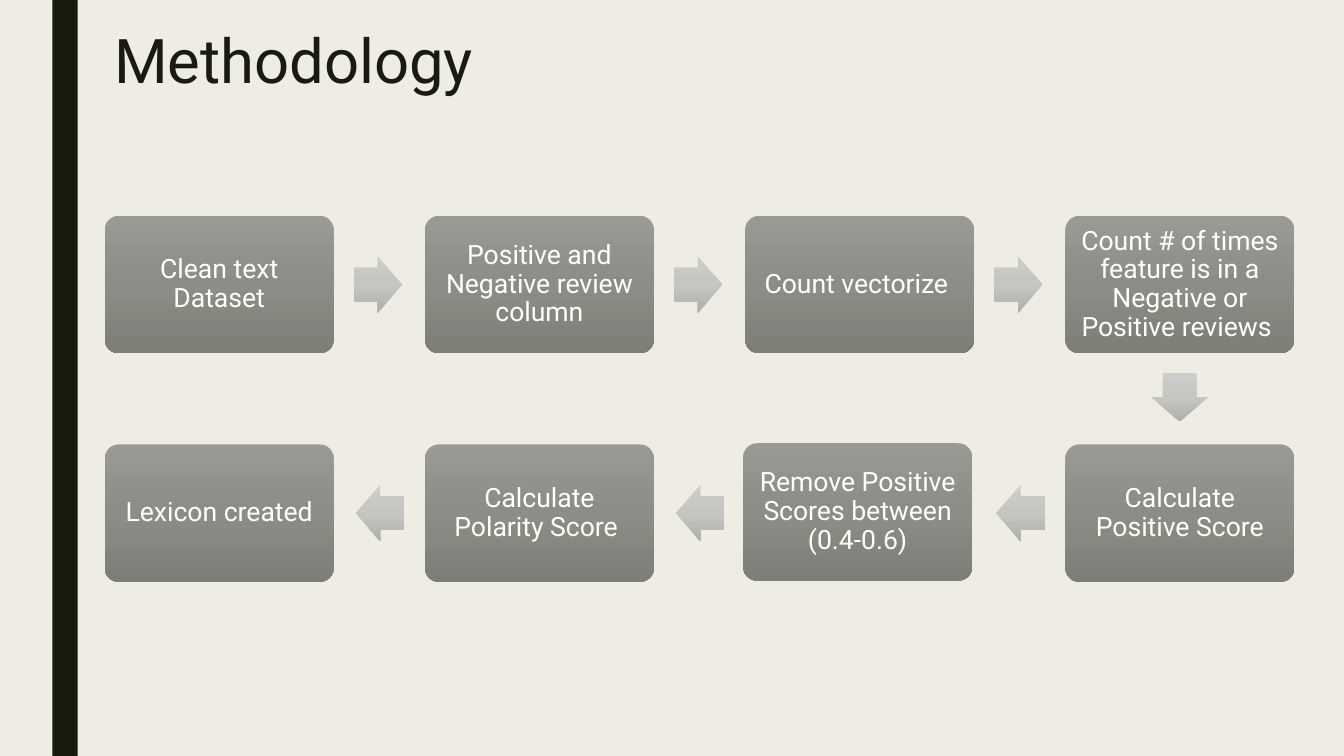
from dataclasses import dataclass

from lxml import etree
from pptx import Presentation
from pptx.dml.color import RGBColor
from pptx.enum import shapes, text
from pptx.oxml import ns
from pptx.util import Cm, Pt

CREAM = RGBColor(0xEF, 0xED, 0xE3)
INK = RGBColor(0x19, 0x1B, 0x0E)
WHITE = RGBColor(0xFF, 0xFF, 0xFF)
BOX_SHADES = (RGBColor(0x99, 0x9A, 0x94), RGBColor(0x8C, 0x8D, 0x86), RGBColor(0x7D, 0x7E, 0x76))
ARROW_SHADES = (RGBColor(0xCD, 0xCD, 0xCB), RGBColor(0xC5, 0xC5, 0xC2), RGBColor(0xAF, 0xB0, 0xAD))
FONT = "Roboto"

LEFT, PITCH = 2.64, 8.07
ROW_TOPS = (5.44, 11.2)
BOX_WIDTH, BOX_HEIGHT = 5.77, 3.46
ARROW_LENGTH, ARROW_BREADTH = 1.22, 1.42
ARROW_DROP = 1.02


@dataclass(frozen=True)
class Step:
    wording: str
    column: int
    row: int
    shift_x: float = 0
    shift_y: float = 0


@dataclass(frozen=True)
class Arrow:
    kind: shapes.MSO_SHAPE
    left: float
    top: float
    width: float = ARROW_LENGTH
    height: float = ARROW_BREADTH


STEPS = (
    Step("Clean text Dataset", 0, 0),
    Step("Positive and Negative review column", 1, 0),
    Step("Count vectorize ", 2, 0),
    Step("Count # of times feature is in a Negative or Positive reviews ", 3, 0),
    Step("Calculate Positive Score", 3, 1),
    Step("Remove Positive Scores between (0.4-0.6)", 2, 1, -0.05, -0.03),
    Step("Calculate Polarity Score ", 1, 1),
    Step("Lexicon created", 0, 1),
)
ARROWS = (
    *(Arrow(shapes.MSO_SHAPE.RIGHT_ARROW, LEFT + gap * PITCH + 6.27, ROW_TOPS[0] + ARROW_DROP)
      for gap in range(3)),
    Arrow(shapes.MSO_SHAPE.DOWN_ARROW, 29.02, 9.4, ARROW_BREADTH, ARROW_LENGTH),
    *(Arrow(shapes.MSO_SHAPE.LEFT_ARROW, LEFT + gap * PITCH + 6.33, ROW_TOPS[1] + ARROW_DROP)
      for gap in reversed(range(3))),
)


def set_values(target, values: dict) -> None:
    for name, value in values.items():
        setattr(target, name, value)


def add_plain_shape(page, kind, left: float, top: float, width: float, height: float):
    """Add a shape, measured in centimetres, without shadow or outline."""
    shape = page.shapes.add_shape(kind, Cm(left), Cm(top), Cm(width), Cm(height))
    shape.shadow.inherit = False
    shape.line.fill.background()
    return shape


def shade_downwards(shape, shades: tuple) -> None:
    """Fill with evenly spaced colours from top to bottom."""
    shape.fill.gradient()
    shape.fill.gradient_angle = 270
    stops = shape._element.spPr.find(ns.qn("a:gradFill")).find(ns.qn("a:gsLst"))
    for stop in list(stops):
        stops.remove(stop)
    for index, shade in enumerate(shades):
        stop = etree.SubElement(stops, ns.qn("a:gs"), pos=str(index * 50000))
        etree.SubElement(stop, ns.qn("a:srgbClr"), val=str(shade))


def write_text(box, wording: str, frame_format: dict, para_format: dict,
               size: int, color: RGBColor) -> None:
    frame = box.text_frame
    set_values(frame, frame_format)
    para = frame.paragraphs[0]
    set_values(para, para_format)
    span = para.add_run()
    span.text = wording
    set_values(span.font, {"name": FONT, "size": Pt(size), "bold": False})
    span.font.color.rgb = color


def add_step(page, step: Step) -> None:
    box = add_plain_shape(page, shapes.MSO_SHAPE.ROUNDED_RECTANGLE,
                          LEFT + step.column * PITCH + step.shift_x,
                          ROW_TOPS[step.row] + step.shift_y, BOX_WIDTH, BOX_HEIGHT)
    box.adjustments[0] = 0.1
    shade_downwards(box, BOX_SHADES)
    margins = {f"margin_{side}": Cm(0.3) for side in ("left", "top", "right", "bottom")}
    write_text(box, step.wording,
               {"word_wrap": True, "vertical_anchor": text.MSO_ANCHOR.MIDDLE, **margins},
               {"alignment": text.PP_ALIGN.CENTER, "line_spacing": 0.9}, 19, WHITE)


def add_arrow(page, arrow: Arrow) -> None:
    shape = add_plain_shape(page, arrow.kind, arrow.left, arrow.top, arrow.width, arrow.height)
    shape.adjustments[0] = 0.6
    shape.adjustments[1] = 0.5
    shade_downwards(shape, ARROW_SHADES)


def add_title(page, wording: str) -> None:
    title = page.shapes.title
    set_values(title, {"left": Cm(2.62), "top": Cm(0.66), "width": Cm(26.67), "height": Cm(4.11)})
    write_text(title, wording,
               {"word_wrap": True, "vertical_anchor": text.MSO_ANCHOR.TOP,
                "auto_size": text.MSO_AUTO_SIZE.NONE},
               {"alignment": text.PP_ALIGN.LEFT, "line_spacing": 0.89}, 44, INK)


def main() -> None:
    deck = Presentation()
    set_values(deck, {"slide_width": Cm(33.87), "slide_height": Cm(19.05)})
    page = deck.slides.add_slide(deck.slide_layouts.get_by_name("Title Only"))
    page.background.fill.solid()
    page.background.fill.fore_color.rgb = CREAM

    side_bar = add_plain_shape(page, shapes.MSO_SHAPE.RECTANGLE, 1.32, 0, 0.64, 19.05)
    side_bar.fill.solid()
    side_bar.fill.fore_color.rgb = INK

    add_title(page, "Methodology")
    for step in STEPS:
        add_step(page, step)
    for arrow in ARROWS:
        add_arrow(page, arrow)
    deck.save("out.pptx")


if __name__ == "__main__":
    main()
